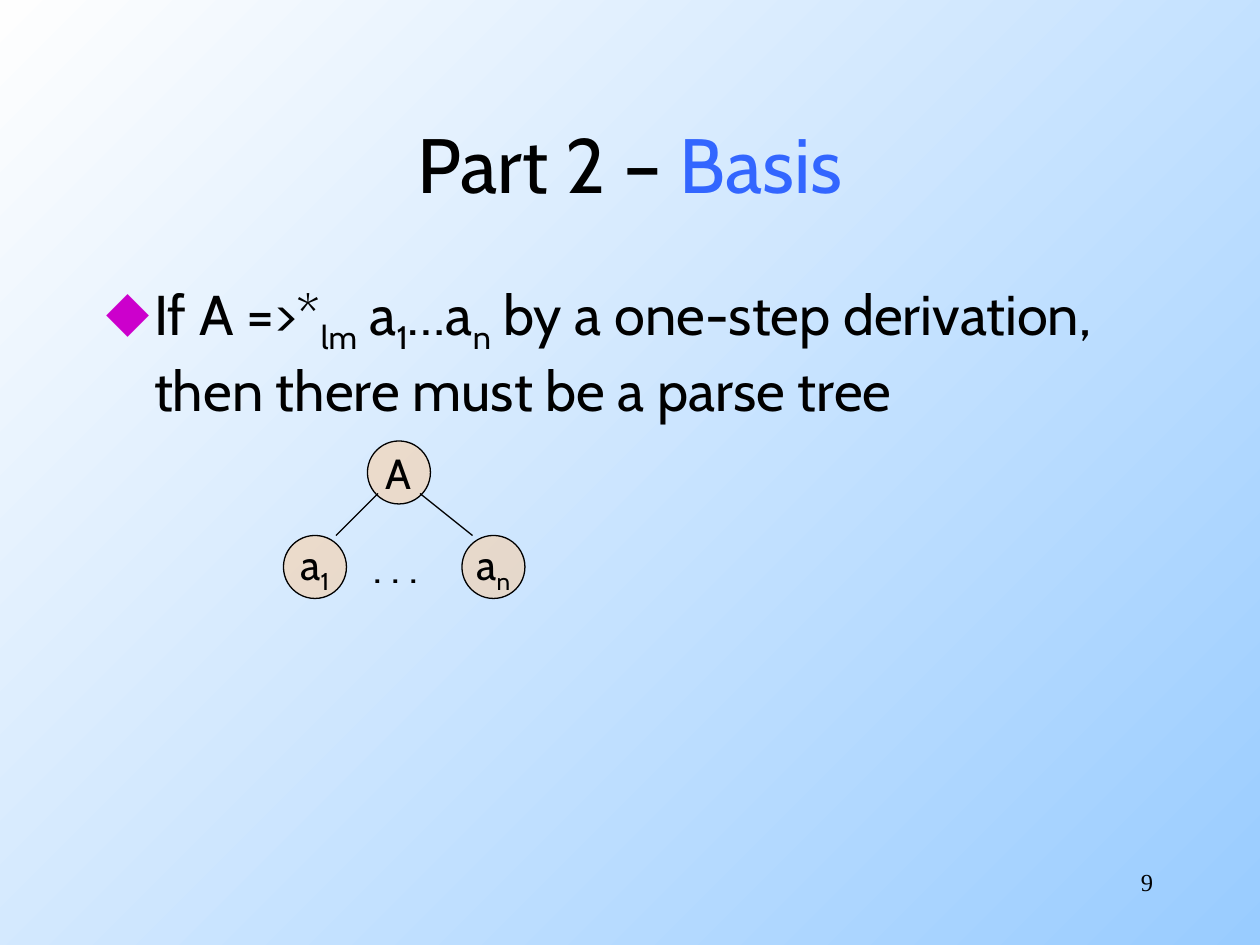
"""Build the slide on the basis case for parse trees."""
from lxml.etree import SubElement
from pptx import Presentation
from pptx.dml.color import RGBColor
from pptx.enum.shapes import MSO_CONNECTOR as Link, MSO_SHAPE as Shape
from pptx.enum.text import MSO_ANCHOR as Anchor, PP_ALIGN as Align
from pptx.oxml.ns import qn
from pptx.util import Pt

BLACK, BLUE = "000000", "3366FF"
TITLE = [("Part 2 – ", BLACK), ("Basis", BLUE)]
BODY = [("If A =>*", 0), ("lm", 1), (" a", 0), ("1", 1), ("…a", 0), ("n", 1),
        (" by a one-step derivation, then there must be a parse tree", 0)]
SIZE = 36
NODES = [
    (210, 252, [("A", 0)]),
    (162, 306, [("a", 0), ("1", 1)]),
    (264, 306, [("a", 0), ("n", 1)]),
]
EDGES = [(216, 282, 192, 306), (240, 282, 270, 306)]


def color(code):
    """Turn a hex string into a colour."""
    return RGBColor.from_string(code)


def style(para, size, name="Cabin", align=Align.LEFT):
    """Set the font and alignment of a paragraph."""
    para.alignment = align
    para.font.size = Pt(size)
    para.font.name = name
    para.font.color.rgb = color(BLACK)


def write(para, runs):
    """Add runs, lowering those marked as subscripts."""
    for text, low in runs:
        run = para.add_run()
        run.text = text
        if low:
            run._r.get_or_add_rPr().set("baseline", "-25000")


def add_box(shapes, place, wrap=True, anchor=Anchor.TOP):
    """Add a text box and return its first paragraph."""
    frame = shapes.add_textbox(*map(Pt, place)).text_frame
    frame.word_wrap = wrap
    frame.vertical_anchor = anchor
    return frame.paragraphs[0]


def add_bullet(para, sign, code, indent):
    """Give a paragraph a coloured bullet with a hanging indent."""
    props = para._p.get_or_add_pPr()
    props.set("marL", str(Pt(indent)))
    props.set("indent", str(-Pt(indent)))
    tint = SubElement(props, qn("a:buClr"))
    SubElement(tint, qn("a:srgbClr"), val=code)
    SubElement(props, qn("a:buChar"), char=sign)


def add_node(shapes, left, top, runs):
    """Add one round tree node with its label."""
    node = shapes.add_shape(Shape.OVAL, Pt(left), Pt(top), Pt(SIZE), Pt(SIZE))
    node.shadow.inherit = False
    node.fill.solid()
    node.fill.fore_color.rgb = color("FFCC99")
    tint = node._element.spPr.find(qn("a:solidFill"))[0]
    SubElement(tint, qn("a:alpha"), val="50000")
    node.line.color.rgb = color(BLACK)
    node.line.width = Pt(0.75)
    frame = node.text_frame
    frame.word_wrap = False
    frame.vertical_anchor = Anchor.MIDDLE
    style(frame.paragraphs[0], 24, align=Align.CENTER)
    write(frame.paragraphs[0], runs)


def add_edge(shapes, ends):
    """Add one thin black line between nodes."""
    edge = shapes.add_connector(Link.STRAIGHT, *map(Pt, ends))
    edge.line.color.rgb = color(BLACK)
    edge.line.width = Pt(0.75)
    SubElement(edge._element.spPr, qn("a:effectLst"))


def main():
    """Lay out the slide and save it."""
    deck = Presentation()
    deck.slide_width, deck.slide_height = Pt(720), Pt(540)
    slide = deck.slides.add_slide(deck.slide_layouts[6])
    back = slide.background.fill
    back.gradient()
    back.gradient_angle = 135
    for stop, code in zip(back.gradient_stops, ("99CCFF", "FEFEFE")):
        stop.color.rgb = color(code)

    title = add_box(slide.shapes, (54, 48, 612, 90), anchor=Anchor.MIDDLE)
    style(title, 44, align=Align.CENTER)
    for text, code in TITLE:
        run = title.add_run()
        run.text = text
        run.font.color.rgb = color(code)

    body = add_box(slide.shapes, (54, 156, 612, 324))
    add_bullet(body, "◆", "CC00CC", 27)
    style(body, 32)
    write(body, BODY)

    tree = slide.shapes.add_group_shape().shapes
    for node in NODES:
        add_node(tree, *node)
    dots = add_box(tree, (206.5, 306, 46, SIZE), wrap=False)
    style(dots, 24)
    write(dots, [(". . .", 0)])
    for ends in EDGES:
        add_edge(tree, ends)

    page = add_box(slide.shapes, (516, 492, 150, 36))
    style(page, 14, "Times New Roman", Align.RIGHT)
    write(page, [("9", 0)])
    deck.save("out.pptx")


if __name__ == "__main__":
    main()
